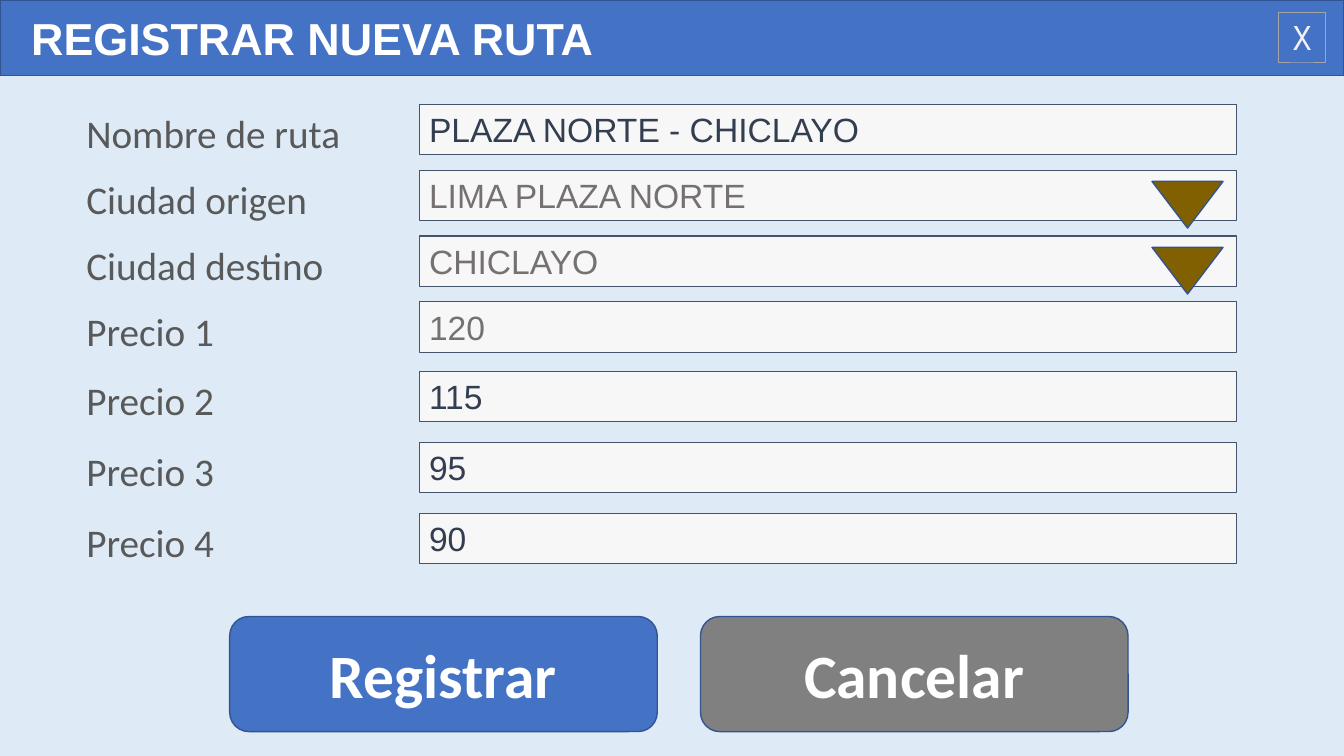
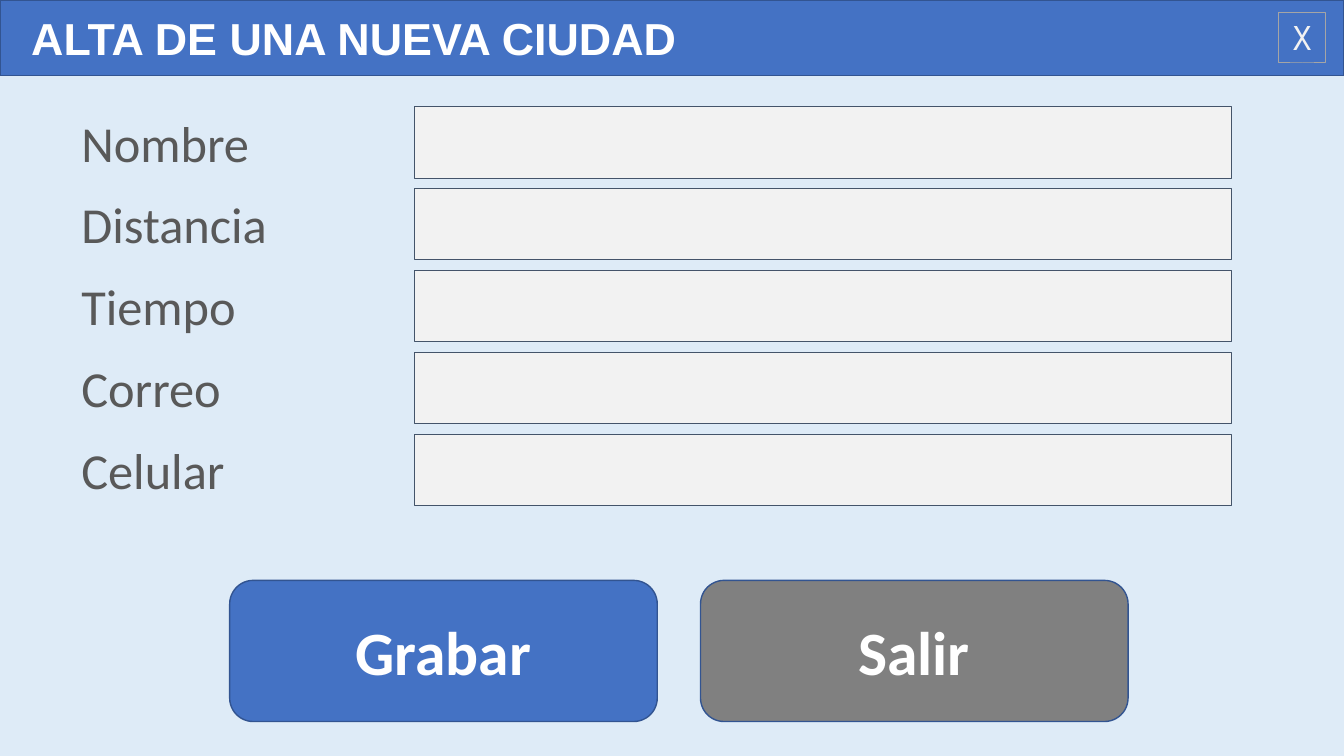
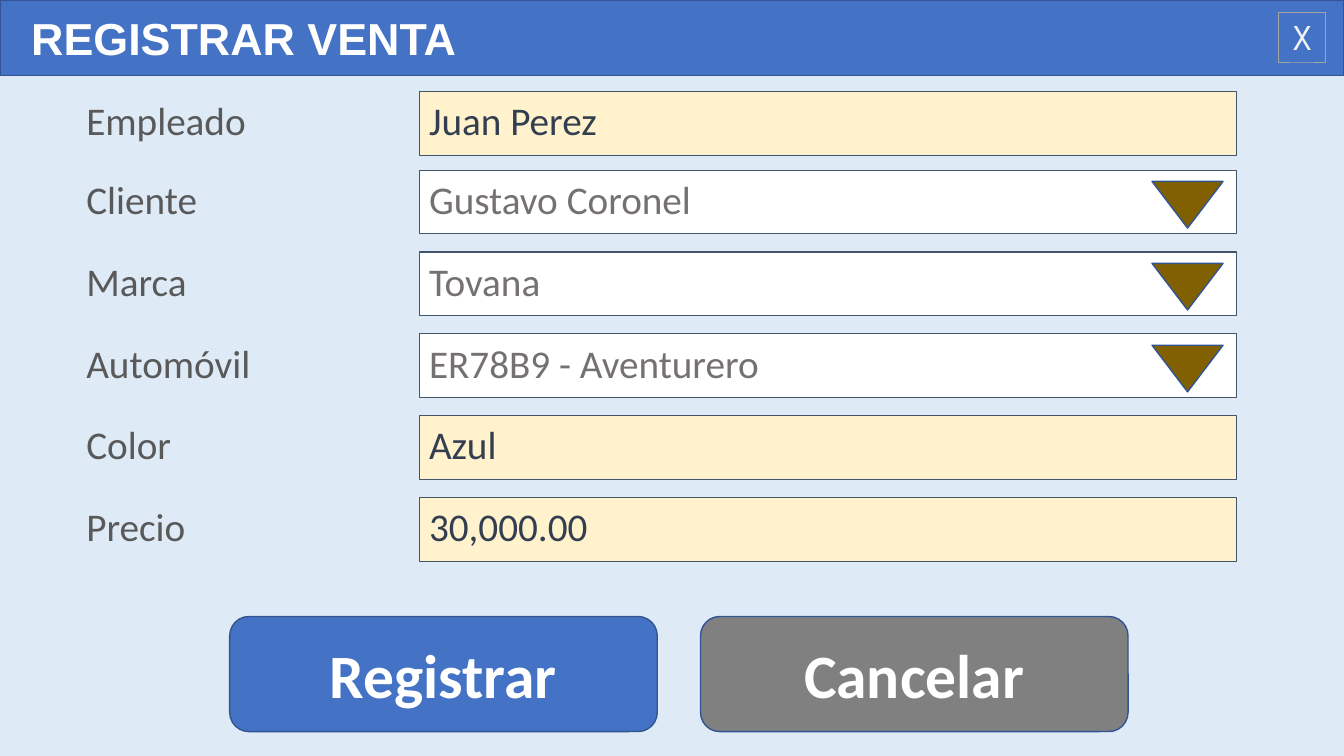
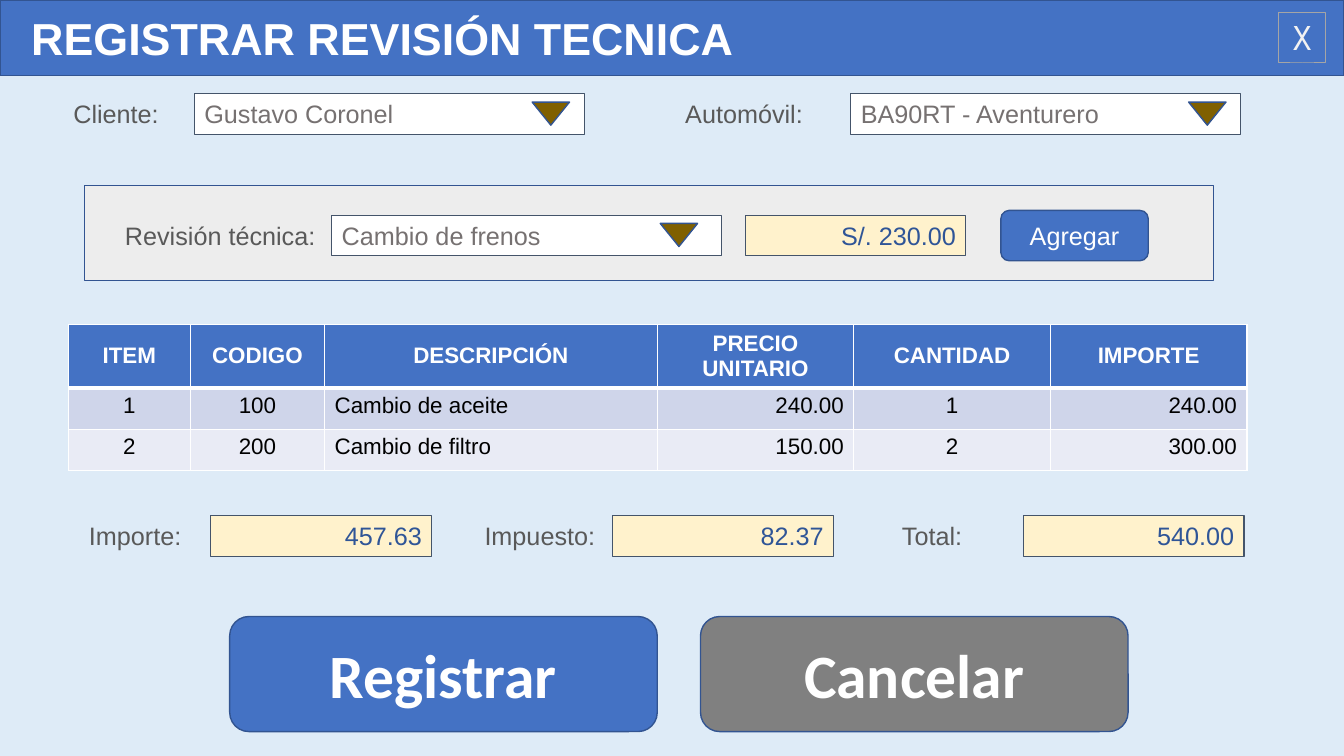
from dataclasses import dataclass
from typing import NamedTuple, Optional

import lxml.etree
import pptx
import pptx.dml.color
import pptx.enum.shapes
import pptx.enum.text
import pptx.oxml.ns
import pptx.util

COLUMNS, ROWS = 160, 90
CELL = pptx.util.Inches(7.5) / ROWS

Preset = pptx.enum.shapes.MSO_SHAPE
Align = pptx.enum.text.PP_ALIGN
Anchor = pptx.enum.text.MSO_ANCHOR


@dataclass(frozen=True)
class Theme:
    background: str = "DEEBF7"
    primary: str = "4472C4"
    outline: str = "325491"
    secondary: str = "808080"
    white: str = "FFFFFF"
    black: str = "000000"
    label: str = "595959"
    entered: str = "333F50"
    chosen: str = "767171"
    amount: str = "2F5597"
    close_text: str = "F2F2F2"
    close_line: str = "A5A5A5"
    field_line: str = "44546A"
    field_light: str = "F7F7F7"
    field_empty: str = "F2F2F2"
    field_locked: str = "FFF2CC"
    arrow: str = "806000"
    panel: str = "EDEDED"
    bands: tuple[str, str] = ("CFD5EA", "E9EBF5")
    sans: str = "Arial"
    body: str = "Calibri"
    mono: str = "Noto Sans Mono"
    button_size: int = 44
    large_size: int = 36
    title_size: int = 32
    form_size: int = 28
    field_size: int = 24
    compact_size: int = 18
    table_size: int = 16


THEME = Theme()


class Box(NamedTuple):
    left: float
    top: float
    width: float
    height: float


class TextStyle(NamedTuple):
    font: str
    size: int
    color: str
    bold: bool = False
    align: Align = Align.LEFT


class Entry(NamedTuple):
    label: str
    value: str = ""
    fill: str = THEME.field_light
    color: str = THEME.entered
    dropdown: bool = False


@dataclass(frozen=True)
class FormStyle:
    label_left: float
    field_left: float
    field_height: float
    label_size: int
    value_font: str
    value_size: int


class CompactField(NamedTuple):
    label: str
    label_left: float
    label_width: float
    field_left: float
    top: float
    value: str
    arrow_offset: float = 40.2


class TableColumn(NamedTuple):
    heading: str
    width: float
    align: Align


ROUTE_FORM = FormStyle(9.1, 49.9, 6, THEME.form_size, THEME.sans, THEME.field_size)
CITY_FORM = FormStyle(8.5, 49.3, 8.5, THEME.large_size, THEME.body, THEME.large_size)
SALE_FORM = FormStyle(9.1, 49.9, 7.6, THEME.form_size, THEME.body, THEME.form_size)
COMPACT_LABEL = TextStyle(THEME.sans, THEME.compact_size, THEME.label)
COMPACT_CHOICE = TextStyle(THEME.sans, THEME.compact_size, THEME.chosen)
COMPACT_AMOUNT = TextStyle(THEME.sans, THEME.compact_size, THEME.amount, align=Align.RIGHT)
COMPACT_HEIGHT = 4.85
CHOICE_WIDTH = 46.4
AMOUNT_WIDTH = 26.3


def cells(count: float) -> int:
    return round(count * CELL)


def rgb(color: str) -> pptx.dml.color.RGBColor:
    return pptx.dml.color.RGBColor.from_string(color)


def style_paragraph(paragraph, style: TextStyle) -> None:
    paragraph.alignment = style.align
    paragraph.font.name = style.font
    paragraph.font.size = pptx.util.Pt(style.size)
    paragraph.font.bold = style.bold
    paragraph.font.color.rgb = rgb(style.color)


def write(frame, text: str, style: TextStyle, anchor: Anchor = Anchor.TOP) -> None:
    frame.word_wrap = True
    frame.vertical_anchor = anchor
    frame.text = text
    style_paragraph(frame.paragraphs[0], style)


def draw_shape(slide, preset: Preset, box: Box, fill: Optional[str],
               line: str = THEME.outline, weight: float = 1):
    shape = slide.shapes.add_shape(preset, *map(cells, box))
    shape.shadow.inherit = False
    if fill is None:
        shape.fill.background()
    else:
        shape.fill.solid()
        shape.fill.fore_color.rgb = rgb(fill)
    shape.line.color.rgb = rgb(line)
    shape.line.width = pptx.util.Pt(weight)
    return shape


def draw_label(slide, box: Box, text: str, style: TextStyle) -> None:
    write(slide.shapes.add_textbox(*map(cells, box)).text_frame, text, style)


def draw_field(slide, box: Box, fill: str, text: str, style: TextStyle) -> None:
    field = draw_shape(slide, Preset.RECTANGLE, box, fill, THEME.field_line, 0.75)
    if text:
        write(field.text_frame, text, style)


def draw_arrow(slide, box: Box) -> None:
    draw_shape(slide, Preset.ISOSCELES_TRIANGLE, box, THEME.arrow).rotation = 180


def draw_button(slide, box: Box, text: str, fill: str, style: TextStyle) -> None:
    button = draw_shape(slide, Preset.ROUNDED_RECTANGLE, box, fill)
    write(button.text_frame, text, style, Anchor.MIDDLE)


def add_window(deck, title: str, accept: str, dismiss: str,
               buttons_top: float = 73.4, buttons_height: float = 13.7):
    slide = deck.slides.add_slide(deck.slide_layouts[6])
    band = draw_shape(slide, Preset.RECTANGLE, Box(0, 0, COLUMNS, 9), THEME.primary)
    band.text_frame.margin_left = pptx.util.Inches(0.31)
    write(band.text_frame, title,
          TextStyle(THEME.sans, THEME.title_size, THEME.white, True), Anchor.MIDDLE)
    close = draw_shape(slide, Preset.RECTANGLE, Box(152.25, 1.45, 5.55, 6.05),
                       None, THEME.close_line, 0.75)
    write(close.text_frame, "X",
          TextStyle(THEME.mono, THEME.field_size, THEME.close_text, align=Align.CENTER))
    button_style = TextStyle(THEME.body, THEME.button_size, THEME.white, True, Align.CENTER)
    for left, text, fill in ((27.35, accept, THEME.primary), (83.4, dismiss, THEME.secondary)):
        draw_button(slide, Box(left, buttons_top, 50.9, buttons_height),
                    text, fill, button_style)
    return slide


def draw_entries(slide, form: FormStyle, top: float, pitch: float,
                 entries: list[Entry]) -> None:
    label_style = TextStyle(THEME.body, form.label_size, THEME.label)
    for index, entry in enumerate(entries):
        row = top + index * pitch
        draw_label(slide, Box(form.label_left, row, 39, form.field_height),
                   entry.label, label_style)
        draw_field(slide, Box(form.field_left, row, 97.3, form.field_height), entry.fill,
                   entry.value, TextStyle(form.value_font, form.value_size, entry.color))
        if entry.dropdown:
            draw_arrow(slide, Box(form.field_left + 87.25, row + 1.35, 8.45, 5.55))


def draw_compact_label(slide, field: CompactField) -> None:
    draw_label(slide, Box(field.label_left, field.top, field.label_width, COMPACT_HEIGHT),
               field.label, COMPACT_LABEL)


def draw_choice(slide, field: CompactField) -> None:
    draw_compact_label(slide, field)
    draw_field(slide, Box(field.field_left, field.top, CHOICE_WIDTH, COMPACT_HEIGHT),
               THEME.white, field.value, COMPACT_CHOICE)
    draw_arrow(slide, Box(field.field_left + field.arrow_offset, field.top + 1, 4.45, 2.75))


def draw_amount(slide, left: float, top: float, value: str) -> None:
    draw_field(slide, Box(left, top, AMOUNT_WIDTH, COMPACT_HEIGHT),
               THEME.field_locked, value, COMPACT_AMOUNT)


def border_cell(cell, bottom: float, top: float) -> None:
    properties = cell._tc.get_or_add_tcPr()
    for side, weight in (("lnL", 1), ("lnR", 1), ("lnT", top), ("lnB", bottom)):
        edge = lxml.etree.SubElement(properties, pptx.oxml.ns.qn(f"a:{side}"),
                                     w=str(pptx.util.Pt(weight)))
        paint = lxml.etree.SubElement(edge, pptx.oxml.ns.qn("a:solidFill"))
        lxml.etree.SubElement(paint, pptx.oxml.ns.qn("a:srgbClr"), val=THEME.white)


def fill_cell(cell, text: str, fill: str, style: TextStyle, anchor: Anchor,
              top: float = 1, bottom: float = 1) -> None:
    border_cell(cell, bottom, top)
    cell.fill.solid()
    cell.fill.fore_color.rgb = rgb(fill)
    cell.vertical_anchor = anchor
    cell.text = text
    style_paragraph(cell.text_frame.paragraphs[0], style)


def draw_items(slide, left: float, top: float, columns: list[TableColumn],
               items: list[tuple[str, ...]]) -> None:
    heading_height, item_height = 7.5, 4.9
    box = Box(left, top, sum(column.width for column in columns),
              heading_height + item_height * len(items))
    table = slide.shapes.add_table(len(items) + 1, len(columns), *map(cells, box)).table
    for index, row in enumerate(table.rows):
        row.height = cells(item_height if index else heading_height)
    heading_style = TextStyle(THEME.sans, THEME.table_size, THEME.white, True, Align.CENTER)
    for position, column in enumerate(columns):
        table.columns[position].width = cells(column.width)
        fill_cell(table.cell(0, position), column.heading, THEME.primary,
                  heading_style, Anchor.MIDDLE, bottom=3)
        item_style = TextStyle(THEME.sans, THEME.table_size, THEME.black, align=column.align)
        for index, item in enumerate(items):
            fill_cell(table.cell(index + 1, position), item[position],
                      THEME.bands[index % 2], item_style, Anchor.TOP,
                      top=1 if index else 3)


def build_route(deck) -> None:
    slide = add_window(deck, "REGISTRAR NUEVA RUTA", "Registrar", "Cancelar")
    draw_entries(slide, ROUTE_FORM, 12.4, 7.85, [
        Entry("Nombre de ruta", "PLAZA NORTE - CHICLAYO"),
        Entry("Ciudad origen", "LIMA PLAZA NORTE", color=THEME.chosen, dropdown=True),
        Entry("Ciudad destino", "CHICLAYO", color=THEME.chosen, dropdown=True),
        Entry("Precio 1", "120", color=THEME.chosen),
    ])
    draw_entries(slide, ROUTE_FORM, 44.2, 8.45, [
        Entry("Precio 2", "115"),
        Entry("Precio 3", "95"),
        Entry("Precio 4", "90"),
    ])


def build_city(deck) -> None:
    slide = add_window(deck, "ALTA DE UNA NUEVA CIUDAD", "Grabar", "Salir", 69.1, 16.8)
    labels = ("Nombre", "Distancia", "Tiempo", "Correo", "Celular")
    draw_entries(slide, CITY_FORM, 12.7, 9.75,
                 [Entry(label, fill=THEME.field_empty) for label in labels])


def build_sale(deck) -> None:
    slide = add_window(deck, "REGISTRAR VENTA", "Registrar", "Cancelar")
    draw_entries(slide, SALE_FORM, 10.9, 0,
                 [Entry("Empleado", "Juan Perez", THEME.field_locked)])
    draw_entries(slide, SALE_FORM, 20.25, 9.75, [
        Entry("Cliente", "Gustavo Coronel", THEME.white, THEME.chosen, True),
        Entry("Marca", "Tovana", THEME.white, THEME.chosen, True),
        Entry("Automóvil", "ER78B9 - Aventurero", THEME.white, THEME.chosen, True),
        Entry("Color", "Azul", THEME.field_locked),
        Entry("Precio", "30,000.00", THEME.field_locked),
    ])


def build_inspection(deck) -> None:
    slide = add_window(deck, "REGISTRAR REVISIÓN TECNICA", "Registrar", "Cancelar")
    draw_shape(slide, Preset.RECTANGLE, Box(10.05, 22.1, 134.4, 11.3), THEME.panel)
    for choice in (
        CompactField("Cliente:", 7.55, 13.8, 23.15, 11.15, "Gustavo Coronel"),
        CompactField("Automóvil:", 80.4, 20.2, 101.3, 11.15, "BA90RT - Aventurero"),
        CompactField("Revisión técnica:", 13.7, 26.2, 39.5, 25.6, "Cambio de frenos", 39.1),
    ):
        draw_choice(slide, choice)
    draw_amount(slide, 88.7, 25.6, "S/. 230.00")
    draw_button(slide, Box(119.15, 25.05, 17.55, 6), "Agregar", THEME.primary,
                TextStyle(THEME.sans, THEME.compact_size, THEME.white, align=Align.CENTER))
    draw_items(slide, 8.15, 38.6, [
        TableColumn("ITEM", 14.5, Align.CENTER),
        TableColumn("CODIGO", 16, Align.CENTER),
        TableColumn("DESCRIPCIÓN", 39.6, Align.LEFT),
        TableColumn("PRECIO\vUNITARIO", 23.4, Align.RIGHT),
        TableColumn("CANTIDAD", 23.4, Align.CENTER),
        TableColumn("IMPORTE", 23.4, Align.RIGHT),
    ], [
        ("1", "100", "Cambio de aceite", "240.00", "1", "240.00"),
        ("2", "200", "Cambio de filtro", "150.00", "2", "300.00"),
    ])
    for total in (
        CompactField("Importe:", 9.4, 13.8, 25.1, 61.35, "457.63"),
        CompactField("Impuesto:", 56.5, 16.4, 72.95, 61.35, "82.37"),
        CompactField("Total:", 106.2, 13.8, 121.8, 61.35, "540.00"),
    ):
        draw_compact_label(slide, total)
        draw_amount(slide, total.field_left, total.top, total.value)


def main() -> None:
    deck = pptx.Presentation()
    deck.slide_width = cells(COLUMNS)
    deck.slide_height = cells(ROWS)
    backdrop = deck.slide_master.background.fill
    backdrop.solid()
    backdrop.fore_color.rgb = rgb(THEME.background)
    for build in (build_route, build_city, build_sale, build_inspection):
        build(deck)
    deck.save("out.pptx")


if __name__ == "__main__":
    main()
